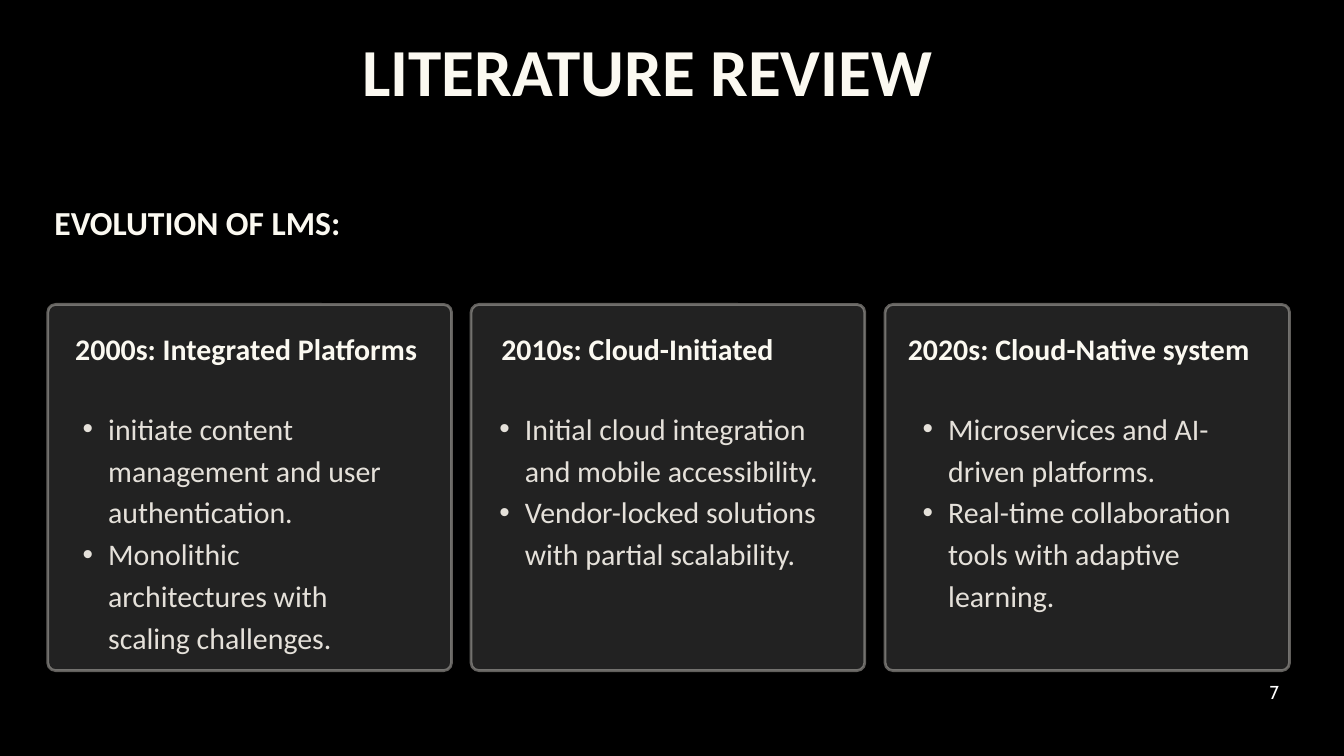
from pptx import Presentation
from pptx.dml.color import RGBColor
from pptx.enum.shapes import MSO_SHAPE
from pptx.enum.text import MSO_ANCHOR, MSO_AUTO_SIZE, PP_ALIGN
from pptx.oxml.ns import qn
from pptx.util import Inches, Pt
from lxml import etree

BLACK = RGBColor(0x00, 0x00, 0x00)
WHITE = RGBColor(0xFF, 0xFF, 0xFF)
CREAM = RGBColor(0xFB, 0xF9, 0xF1)
SAND = RGBColor(0xE5, 0xE1, 0xDA)
GREY = RGBColor(0x54, 0x54, 0x54)

CARD_TOP, CARD_HEIGHT, CORNER = 4.53, 5.45, 0.12

# Card left and width, heading left and width, bullets left, heading, bullets
CARDS = [
    (0.71, 6.01, 1.12, 5.26, 0.85, "2000s: Integrated Platforms",
     ["initiate content management and user authentication.",
      "Monolithic architectures with scaling challenges."]),
    (7.01, 5.86, 7.46, 4.77, 7.05, "2010s: Cloud-Initiated",
     ["Initial cloud integration and mobile accessibility.",
      "Vendor-locked solutions with partial scalability."]),
    (13.17, 6.02, 13.51, 5.37, 13.35, "2020s: Cloud-Native system",
     ["Microservices and AI-driven platforms.",
      "Real-time collaboration tools with adaptive learning."]),
]


def fill_text(shape, lines, size, color, spacing, bold=False,
              font="Calibri", align=PP_ALIGN.LEFT, wrap=True):
    tf = shape.text_frame
    tf.margin_left = tf.margin_right = tf.margin_top = tf.margin_bottom = 0
    tf.auto_size = MSO_AUTO_SIZE.NONE
    tf.vertical_anchor = MSO_ANCHOR.TOP
    tf.word_wrap = wrap
    tf.text = "\n".join(lines)
    for p in tf.paragraphs:
        p.alignment = align
        p.line_spacing = Pt(spacing)
        for r in p.runs:
            r.font.name = font
            r.font.size = Pt(size)
            r.font.bold = bold
            r.font.color.rgb = color


def add_text(s, box, lines, *args, **kwargs):
    shape = s.shapes.add_textbox(*map(Inches, box))
    fill_text(shape, lines, *args, **kwargs)
    return shape


def add_bullets(p):
    pPr = p._p.get_or_add_pPr()
    pPr.set("marL", str(Inches(0.76)))
    pPr.set("indent", str(Inches(-0.38)))
    etree.SubElement(pPr, qn("a:buFont")).set("typeface", "Arial")
    etree.SubElement(pPr, qn("a:buChar")).set("char", "•")


def set_opacity(shape, percent):
    for color in shape._element.spPr.iter(qn("a:srgbClr")):
        etree.SubElement(color, qn("a:alpha")).set("val", str(percent * 1000))


def add_title(s, box):
    title = s.shapes.title
    title.left, title.top, title.width, title.height = map(Inches, box)
    fill_text(title, ["LITERATURE REVIEW"], 72, CREAM, 79.2, bold=True)


def add_card(s, left, width, head_left, head_width, list_left, heading, bullets):
    # Translucent panel
    panel = s.shapes.add_shape(
        MSO_SHAPE.ROUNDED_RECTANGLE,
        *map(Inches, (left, CARD_TOP, width, CARD_HEIGHT)))
    panel.adjustments[0] = CORNER / CARD_HEIGHT
    panel.shadow.inherit = False
    panel.fill.solid()
    panel.fill.fore_color.rgb = GREY
    panel.line.color.rgb = SAND
    panel.line.width = Pt(3)
    set_opacity(panel, 41)

    # Heading and bullet list
    add_text(s, (head_left, CARD_TOP + 0.3, head_width, 0.65),
             [heading], 32, CREAM, 44.8, bold=True)
    body = add_text(s, (list_left, CARD_TOP + 1.49, 5.18, 3.72),
                    bullets, 32, SAND, 44.8)
    for p in body.text_frame.paragraphs:
        add_bullets(p)


def main():
    prs = Presentation()
    prs.slide_width, prs.slide_height = Inches(20), Inches(11.25)
    s = prs.slides.add_slide(prs.slide_layouts[5])
    s.background.fill.solid()
    s.background.fill.fore_color.rgb = BLACK

    add_title(s, (5.39, 0.54, 8.91, 1.28))
    add_text(s, (0.81, 3.06, 5.57, 0.62), ["EVOLUTION OF LMS:"],
             36, CREAM, 39.6, bold=True)
    for card in CARDS:
        add_card(s, *card)

    # Page number
    add_text(s, (18.88, 10.07, 0.17, 0.22), ["7"], 20, WHITE, 28,
             font="Cabin", align=PP_ALIGN.CENTER, wrap=False)

    prs.save("out.pptx")


if __name__ == "__main__":
    main()
